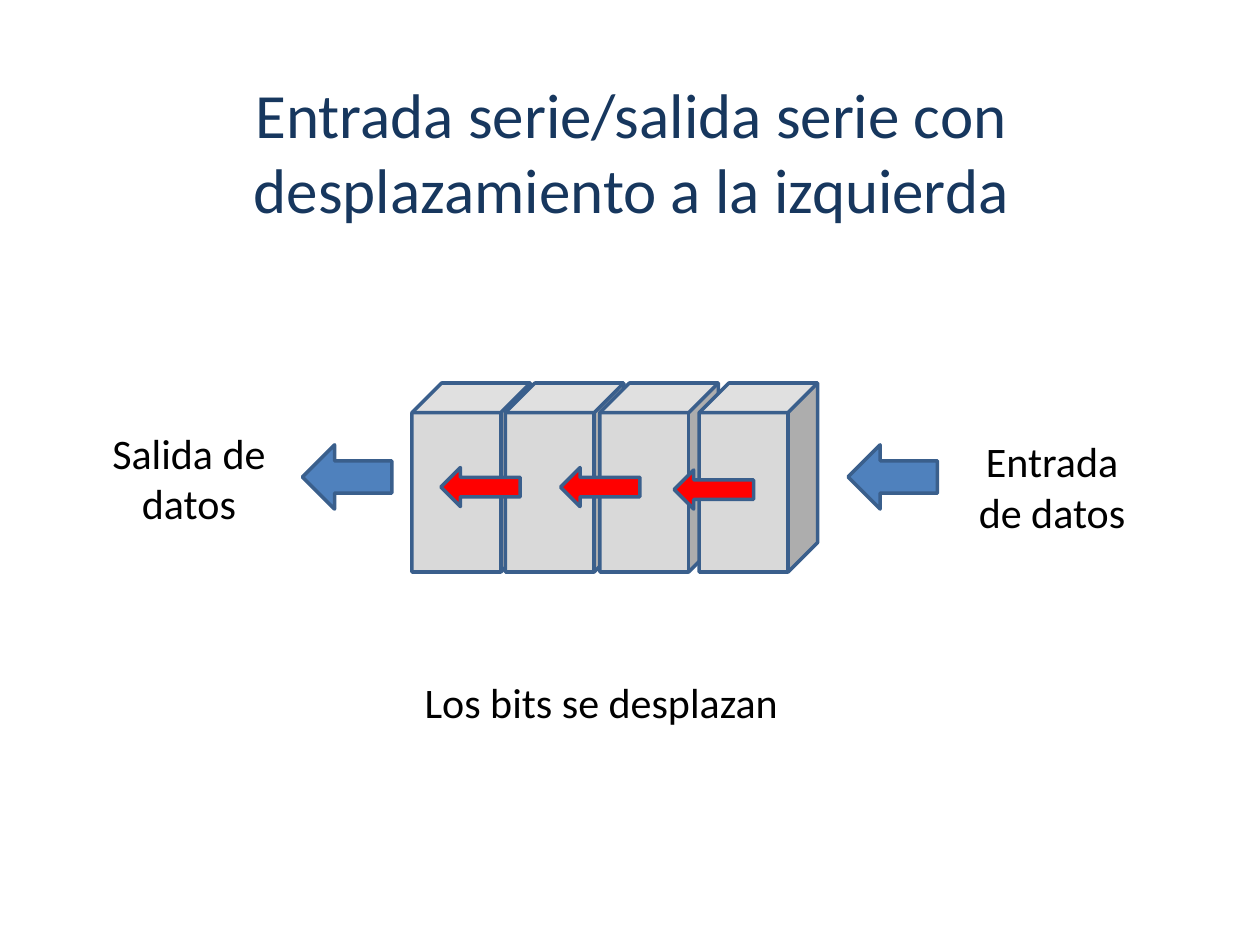
from pptx import Presentation
from pptx.dml.color import RGBColor
from pptx.enum.shapes import MSO_SHAPE as Shape
from pptx.enum.text import MSO_ANCHOR as Anchor, PP_ALIGN as Align
from pptx.util import Inches, Pt

WIDTH, HEIGHT = 10, 7.5
NAVY, BLACK, OUTLINE = "17375E", "000000", "3A5F8C"
GREY, BLUE, RED = "D9D9D9", "4F81BD", "FF0000"


def color(value):
    """Turn a hex string into a colour."""
    return RGBColor.from_string(value)


def add_text(slide, text, box, size=24, fill=BLACK, anchor=Anchor.TOP):
    """Write centred, wrapped text in a box."""
    frame = slide.shapes.add_textbox(*map(Inches, box)).text_frame
    frame.word_wrap = True
    frame.vertical_anchor = anchor
    paragraph = frame.paragraphs[0]
    paragraph.text = text
    paragraph.alignment = Align.CENTER
    paragraph.font.name = "Calibri"
    paragraph.font.size = Pt(size)
    paragraph.font.color.rgb = color(fill)


def add_outlined(slide, kind, box, fill, rotation=0):
    """Draw a filled preset shape with the common outline."""
    shape = slide.shapes.add_shape(kind, *map(Inches, box))
    shape.rotation = rotation
    shape.shadow.inherit = False
    shape.fill.solid()
    shape.fill.fore_color.rgb = color(fill)
    shape.line.color.rgb = color(OUTLINE)
    shape.line.width = Pt(2)


def add_left_arrow(slide, box, fill):
    """Draw a block arrow that points left."""
    add_outlined(slide, Shape.RIGHT_ARROW, box, fill, rotation=180)


def add_register(slide, box):
    """Draw the four cells of the register from left to right."""
    left, top, width, height = box
    for share in (0, 0.23, 0.463, 0.708):
        cell = (left + share * width, top, 0.292 * width, height)
        add_outlined(slide, Shape.CUBE, cell, GREY)


def add_shifts(slide, box):
    """Draw the arrows between cells, from right to left."""
    left, top, width, height = box
    for column, row in ((0.646, 0.46), (0.366, 0.447), (0.071, 0.447)):
        arrow = (left + column * width, top + row * height, 0.63, 0.31)
        add_left_arrow(slide, arrow, RED)


def build_slide(presentation):
    """Compose the title, the shift register and its labels."""
    slide = presentation.slides.add_slide(presentation.slide_layouts[6])
    register = (3.27, 3.04, 3.22, 1.5)
    add_text(slide, "Entrada serie/salida serie con desplazamiento a la izquierda",
             (0.51, 0.57, 0.9 * WIDTH, HEIGHT / 6), size=36, fill=NAVY, anchor=Anchor.MIDDLE)
    add_register(slide, register)
    for left in (2.4, 6.73):
        add_left_arrow(slide, (left, 3.53, 0.71, 0.51), BLUE)
    add_text(slide, "Entrada de datos", (7.6, 3.41, 1.5, 0.91))
    add_text(slide, "Salida de datos", (0.75, 3.34, 1.5, 0.91))
    add_shifts(slide, register)
    add_text(slide, "Los bits se desplazan ", (2.84, 5.32, 3.94, 0.5))


def main():
    """Create and save the presentation."""
    presentation = Presentation()
    presentation.slide_width = Inches(WIDTH)
    presentation.slide_height = Inches(HEIGHT)
    build_slide(presentation)
    presentation.save("out.pptx")


if __name__ == "__main__":
    main()
